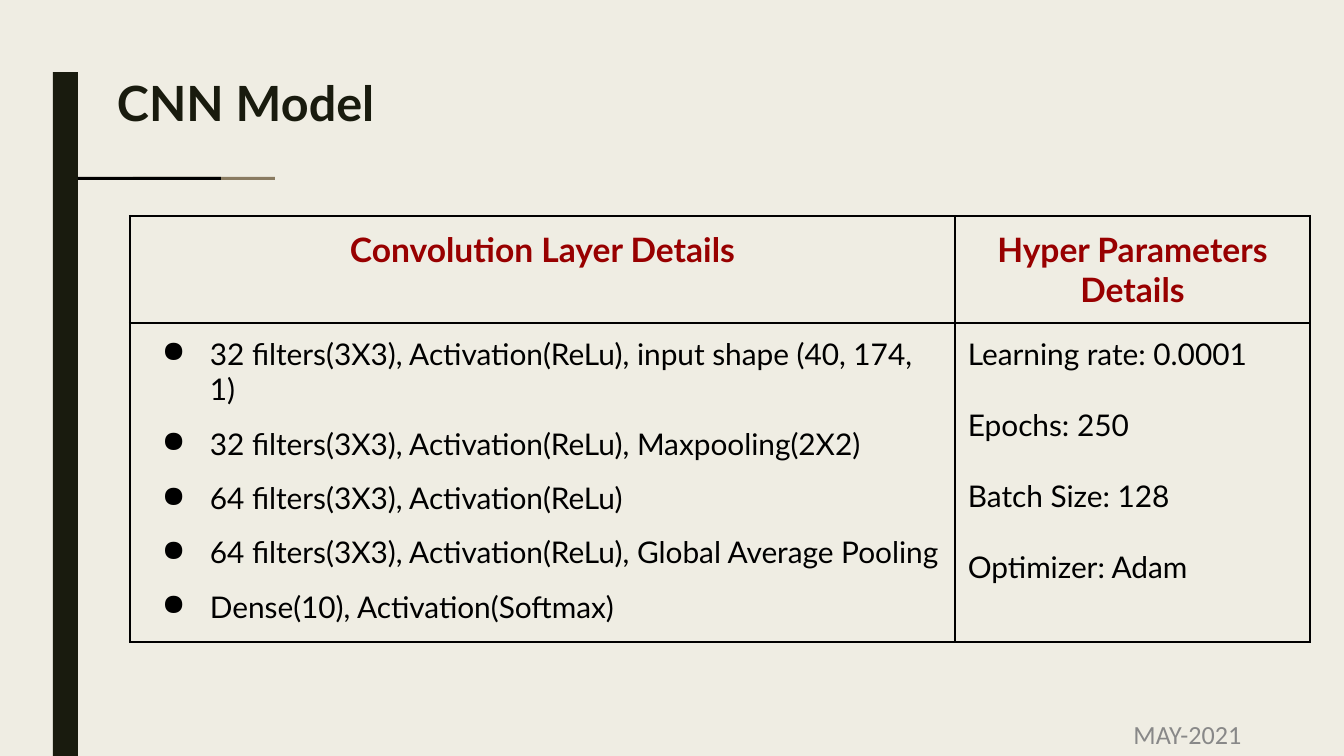
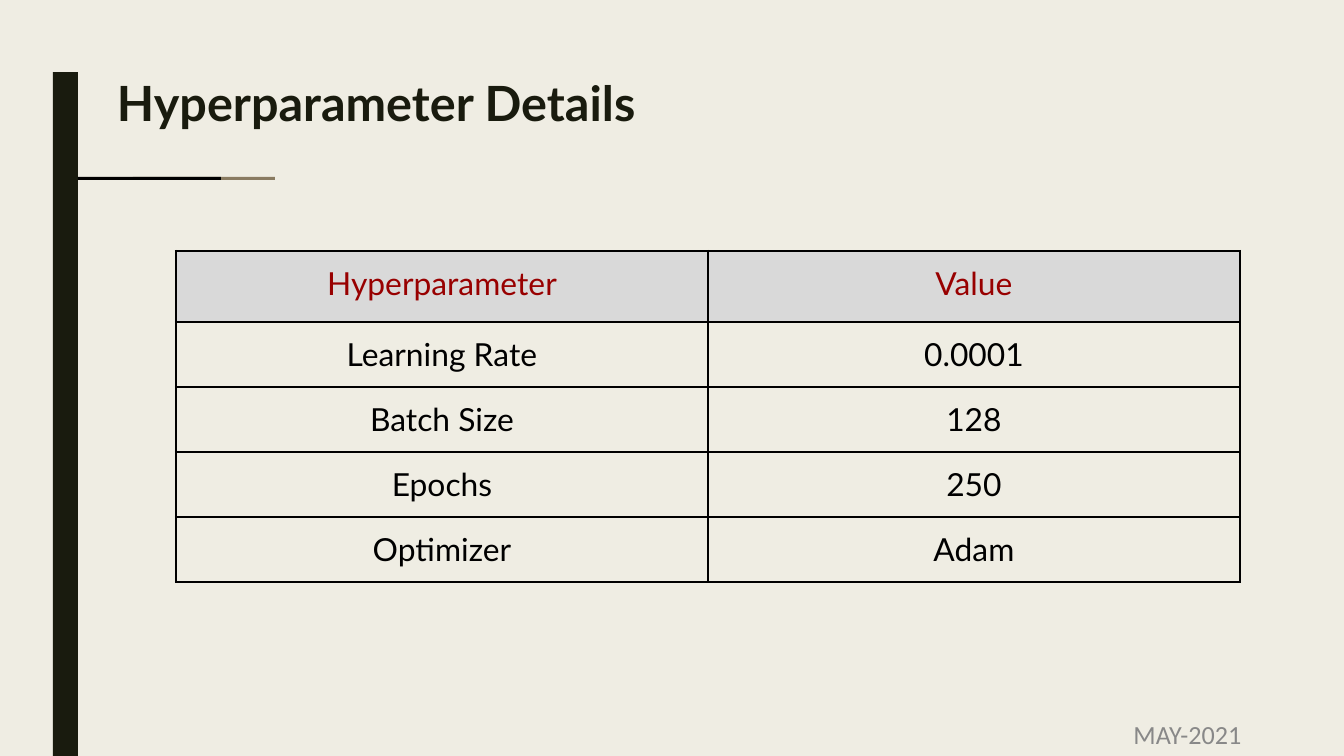
"""Two slides on a CNN model: its layers and its hyperparameters."""
from dataclasses import dataclass

import pptx
import pptx.dml.color
import pptx.enum.shapes
import pptx.enum.text
import pptx.oxml
import pptx.oxml.ns
import pptx.util
from lxml import etree

ALIGN = pptx.enum.text.PP_ALIGN
ANCHOR = pptx.enum.text.MSO_ANCHOR
qn = pptx.oxml.ns.qn


@dataclass(frozen=True)
class Theme:
    """Colours, fonts and type sizes shared by the slides."""
    paper: str = "EFEDE3"
    dark: str = "191B0E"
    tan: str = "897B61"
    black: str = "000000"
    heading: str = "980000"
    header_fill: str = "D9D9D9"
    muted: str = "888888"
    font: str = "Lato"
    footer_font: str = "Calibri"
    title_size: int = 26
    header_size: int = 18
    value_size: int = 17
    body_size: int = 16
    footer_size: int = 14
    border: float = 1.5


THEME = Theme()
WIDTH, HEIGHT = 1344, 756
CELL_MARGIN = 13
BULLET_LEFT, BULLET_HANG = 67, 48

LAYERS = [
    "32 filters(3X3), Activation(ReLu), input shape (40, 174, 1)",
    "32 filters(3X3), Activation(ReLu), Maxpooling(2X2)",
    "64 filters(3X3), Activation(ReLu)",
    "64 filters(3X3), Activation(ReLu), Global Average Pooling",
    "Dense(10), Activation(Softmax)",
]
SETTINGS = ["Learning rate: 0.0001", "Epochs: 250", "Batch Size: 128",
            "Optimizer: Adam"]
VALUES = [("Hyperparameter", "Value"), ("Learning Rate", "0.0001"),
          ("Batch Size", "128"), ("Epochs", "250"), ("Optimizer", "Adam")]


def px(pixels):
    """Turn pixels (134.4 to the inch) into EMU."""
    return pptx.util.Emu(round(pixels * 914400 / 134.4))


def rgb(colour):
    """Turn a hex string into a colour."""
    return pptx.dml.color.RGBColor.from_string(colour)


def add_bullet(paragraph):
    """Give a paragraph a round bullet with a hanging indent."""
    properties = paragraph._p.get_or_add_pPr()
    properties.set("marL", str(px(BULLET_LEFT)))
    properties.set("indent", str(-px(BULLET_HANG)))
    colour = etree.SubElement(properties, qn("a:buClr"))
    etree.SubElement(colour, qn("a:srgbClr"), val=THEME.black)
    etree.SubElement(properties, qn("a:buChar"), char="●")


def write(frame, text, size=THEME.body_size, colour=THEME.black,
          font=THEME.font, bold=False, align=ALIGN.LEFT, gap=0,
          line_spacing=None, bullet=False):
    """Fill a text frame with one string, or one paragraph per list item."""
    lines = [text] if isinstance(text, str) else text
    for index, line in enumerate(lines):
        paragraph = frame.add_paragraph() if index else frame.paragraphs[0]
        paragraph.alignment = align
        paragraph.space_before = pptx.util.Pt(gap if index else 0)
        if line_spacing:
            paragraph.line_spacing = line_spacing
        if bullet:
            add_bullet(paragraph)
        run = paragraph.add_run()
        run.text = line
        run.font.name = font
        run.font.size = pptx.util.Pt(size)
        run.font.bold = bold
        run.font.color.rgb = rgb(colour)


def set_margins(target, side, top):
    """Set the inner margins of a text frame or a cell."""
    target.margin_left = target.margin_right = px(side)
    target.margin_top = target.margin_bottom = px(top)


def add_block(slide, left, top, width, height, colour):
    """Add a plain filled rectangle."""
    block = slide.shapes.add_shape(pptx.enum.shapes.MSO_SHAPE.RECTANGLE,
                                   px(left), px(top), px(width), px(height))
    block.fill.solid()
    block.fill.fore_color.rgb = rgb(colour)
    block.line.fill.background()
    block.shadow.inherit = False
    return block


def decorate_layout(layout, slide):
    """Draw the shared bands and rules, and move them to the layout."""
    layout.background.fill.solid()
    layout.background.fill.fore_color.rgb = rgb(THEME.paper)
    for block in (
        add_block(slide, 53, 0, 25, HEIGHT, THEME.dark),
        add_block(slide, 0, 0, WIDTH, 72, THEME.paper),
        add_block(slide, 133, 177, 142, 3, THEME.tan),
        add_block(slide, 78, 177, 143, 3, THEME.black),
    ):
        layout.shapes.element.append(block.element)


def add_title(slide, text):
    """Place and fill the title placeholder."""
    title = slide.shapes.title
    title.left, title.top = px(108), px(75)
    title.width, title.height = px(1046), px(79)
    frame = title.text_frame
    frame.auto_size = pptx.enum.text.MSO_AUTO_SIZE.NONE
    frame.vertical_anchor = ANCHOR.TOP
    set_margins(frame, 9, 5)
    write(frame, text, size=THEME.title_size, colour=THEME.dark, bold=True,
          line_spacing=0.89)


def add_footer(slide, text):
    """Add the date at the lower right."""
    footer = slide.shapes.add_textbox(px(1031), px(712), px(313), px(44))
    frame = footer.text_frame
    frame.word_wrap = True
    frame.vertical_anchor = ANCHOR.MIDDLE
    set_margins(frame, 13, 7)
    write(frame, text, size=THEME.footer_size, colour=THEME.muted,
          font=THEME.footer_font, align=ALIGN.CENTER)


def add_borders(grid):
    """Draw all four borders of every cell."""
    for properties in grid.element.iter(qn("a:tcPr")):
        for index, side in enumerate(("lnL", "lnR", "lnT", "lnB")):
            border = etree.Element(qn("a:" + side),
                                   w=str(pptx.util.Pt(THEME.border)))
            fill = etree.SubElement(border, qn("a:solidFill"))
            etree.SubElement(fill, qn("a:srgbClr"), val=THEME.black)
            properties.insert(index, border)


def add_grid(slide, left, top, columns, rows):
    """Add an unfilled, bordered table and return it."""
    grid = slide.shapes.add_table(len(rows), len(columns), px(left), px(top),
                                  px(sum(columns)), px(sum(rows)))
    table = grid.table
    table.first_row = table.horz_banding = False
    for column, width in zip(table.columns, columns):
        column.width = px(width)
    for row, height in zip(table.rows, rows):
        row.height = px(height)
    for cell in table.iter_cells():
        set_margins(cell, CELL_MARGIN, CELL_MARGIN)
        cell.fill.background()
    add_borders(grid)
    return table


def add_model_table(slide):
    """Add the table of layers and training settings."""
    table = add_grid(slide, 130, 216, (825, 355), (107, 319))
    headings = ("Convolution Layer Details", "Hyper Parameters Details")
    for column, heading in enumerate(headings):
        write(table.cell(0, column).text_frame, heading, bold=True,
              size=THEME.header_size, colour=THEME.heading,
              align=ALIGN.CENTER)
    write(table.cell(1, 0).text_frame, LAYERS, gap=10, bullet=True)
    write(table.cell(1, 1).text_frame, SETTINGS, gap=19)


def add_value_table(slide):
    """Add the table of hyperparameters and their values."""
    table = add_grid(slide, 176, 251, (532, 532), (71, 65, 65, 65, 65))
    for row, entries in enumerate(VALUES):
        for column, entry in enumerate(entries):
            cell = table.cell(row, column)
            if row == 0:
                cell.fill.solid()
                cell.fill.fore_color.rgb = rgb(THEME.header_fill)
            write(cell.text_frame, entry, size=THEME.value_size,
                  colour=THEME.black if row else THEME.heading,
                  align=ALIGN.CENTER)


def main():
    """Build and save the slides."""
    deck = pptx.Presentation()
    deck.slide_width, deck.slide_height = px(WIDTH), px(HEIGHT)
    layout = deck.slide_layouts.get_by_name("Title Only")
    pages = (("CNN Model", add_model_table),
             ("Hyperparameter Details", add_value_table))
    for number, (title, add_content) in enumerate(pages):
        slide = deck.slides.add_slide(layout)
        if number == 0:
            decorate_layout(layout, slide)
        add_title(slide, title)
        add_footer(slide, "MAY-2021")
        add_content(slide)
    deck.save("out.pptx")


main()
